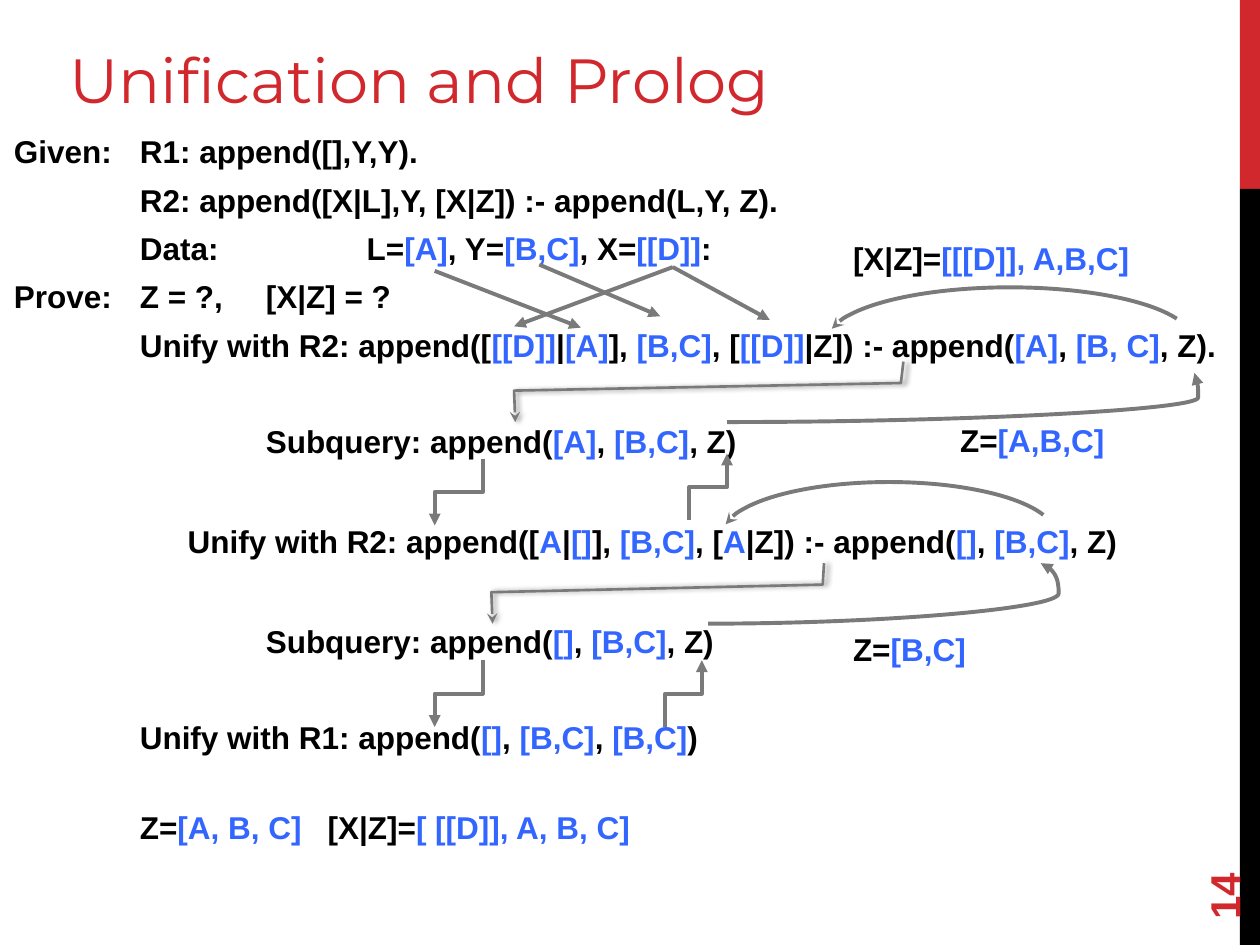
from lxml import etree
from pptx import Presentation
from pptx.dml.color import RGBColor
from pptx.enum.shapes import MSO_CONNECTOR, MSO_SHAPE
from pptx.enum.text import MSO_ANCHOR, MSO_AUTO_SIZE, PP_ALIGN
from pptx.oxml.ns import qn
from pptx.util import Inches, Pt

STRAIGHT, ELBOW, CURVE = MSO_CONNECTOR.STRAIGHT, MSO_CONNECTOR.ELBOW, MSO_CONNECTOR.CURVE
RECTANGLE, ARC = MSO_SHAPE.RECTANGLE, MSO_SHAPE.ARC
TOP, BOTTOM, MIDDLE = MSO_ANCHOR.TOP, MSO_ANCHOR.BOTTOM, MSO_ANCHOR.MIDDLE
NO_AUTOFIT, LEFT = MSO_AUTO_SIZE.NONE, PP_ALIGN.LEFT

RED, BLACK, BLUE, GREY = "D1282E", "000000", "3366FF", "7A7A7A"
rgb = RGBColor.from_string


def write_terms(paragraph, text):
    """Write bold 18 pt text; parts between asterisks are blue."""
    paragraph.font.name = "Arial"
    paragraph.font.size = Pt(18)
    paragraph.font.bold = True
    for i, part in enumerate(text.split("*")):
        if part:
            run = paragraph.add_run()
            run.text = part
            run.font.color.rgb = rgb(BLUE if i % 2 else BLACK)


def style_arrow(arrow, width, head):
    """Give a line its grey stroke and arrowhead, and return its effect list."""
    arrow.line.color.rgb = rgb(GREY)
    arrow.line.width = Pt(width)
    properties = arrow.element.spPr
    etree.SubElement(properties.find(qn("a:ln")), qn("a:tailEnd"), type=head)
    return etree.SubElement(properties, qn("a:effectLst"))


prs = Presentation()
prs.slide_width, prs.slide_height = Inches(10), Inches(7.5)
slide = prs.slides.add_slide(prs.slide_layouts[1])
shapes = slide.shapes

# Side bar
for top, height, color in [(0, 1.5, RED), (1.5, 6, BLACK)]:
    bar = shapes.add_shape(RECTANGLE, Inches(9.84), Inches(top), Inches(0.16), Inches(height))
    bar.shadow.inherit = False
    bar.fill.solid()
    bar.fill.fore_color.rgb = rgb(color)
    bar.line.fill.background()

# Title and derivation
title, derivation = shapes.title, slide.placeholders[1]
for holder, (left, top, width, height), anchor in [
    (title, (0.5, 0.18, 8.48, 0.79), BOTTOM),
    (derivation, (0.06, 1, 9.96, 5.87), TOP),
]:
    holder.left, holder.top = Inches(left), Inches(top)
    holder.width, holder.height = Inches(width), Inches(height)
    frame = holder.text_frame
    frame.auto_size = NO_AUTOFIT
    frame.vertical_anchor = anchor
    frame.margin_left = frame.margin_right = Inches(0.05)
    frame.margin_top = frame.margin_bottom = Inches(0.05)

title.text_frame.text = "Unification and Prolog"
heading = title.text_frame.paragraphs[0]
heading.alignment = LEFT
heading.font.name = "Montserrat"
heading.font.size = Pt(35.6)
heading.font.color.rgb = rgb(RED)

# Space before in points, start and hanging margin in inches, text
steps = [
    (0, 0, 1, "Given:\tR1: append([],Y,Y)."),
    (6, 1, 1, "R2: append([X|L],Y, [X|Z]) :- append(L,Y, Z)."),
    (6, 1, 2.8, "Data:\tL=*[A]*, Y=*[B,C]*, X=*[[D]]*:"),
    (6, 0, 1, "Prove:\tZ = ?,\t[X|Z] = ?"),
    (6, 1, 1, "Unify with R2: append([*[[D]]*|*[A]*], *[B,C]*, [*[[D]]*|Z])"
              " :- append(*[A]*, *[B, C]*, Z)."),
    (33.5, 2, 2, "Subquery: append(*[A]*, *[B,C]*, Z)"),
    (35.5, 1.38, 1.38, "Unify with R2: append([*A*|*[]*], *[B,C]*, [*A*|Z])"
                       " :- append(*[]*, *[B,C]*, Z)"),
    (35.5, 2, 2, "Subquery: append(*[]*, *[B,C]*, Z)"),
    (33.5, 1, 1, "Unify with R1: append(*[]*, *[B,C]*, *[B,C]*)"),
    (29.5, 1, 2.49, "Z=*[A, B, C]*\t[X|Z]=*[ [[D]], A, B, C]*"),
]
body = derivation.text_frame
for i, (space, start, margin, text) in enumerate(steps):
    step = body.add_paragraph() if i else body.paragraphs[0]
    step.alignment = LEFT
    step.line_spacing = 1.0
    step.space_before = Pt(space)
    layout = step._p.get_or_add_pPr()
    layout.set("marL", str(Inches(margin)))
    layout.set("indent", str(Inches(start - margin)))
    etree.SubElement(layout, qn("a:buNone"))
    write_terms(step, text)

# Results beside the derivation
for left, top, width, text in [
    (7.57, 3.29, 1.26, "Z=*[A,B,C]*"),
    (6.72, 4.95, 1.01, "Z=*[B,C]*"),
    (6.72, 1.85, 2.32, "[X|Z]=*[[[D]], A,B,C]*"),
]:
    result = shapes.add_textbox(Inches(left), Inches(top), Inches(width), Inches(0.4)).text_frame
    result.margin_left = result.margin_right = Inches(0.05)
    write_terms(result.paragraphs[0], text)

# Page number
page = shapes.add_textbox(Inches(9.47), Inches(6.87), Inches(0.48), Inches(0.48))
page.rotation = 270
page.text_frame.vertical_anchor = MIDDLE
page.text_frame.margin_left = page.text_frame.margin_right = Inches(0.05)
page.text_frame.text = "14"
number = page.text_frame.paragraphs[0]
number.font.name = "Arial"
number.font.size = Pt(24)
number.font.bold = True
number.font.color.rgb = rgb(RED)

# Data bound to the rule's arguments, and answers passed back up
for kind, x1, y1, x2, y2, bend in [
    (STRAIGHT, 3.45, 2.15, 4.61, 2.6, None),
    (STRAIGHT, 4.28, 2.1, 5.24, 2.51, None),
    (STRAIGHT, 5.34, 2.12, 6.11, 2.54, None),
    (STRAIGHT, 5.34, 2.12, 4.08, 2.59, None),
    (CURVE, 5.62, 4.95, 8.26, 4.47, 105400),
    (CURVE, 5.77, 3.35, 9.48, 2.96, 100800),
]:
    link = shapes.add_connector(kind, Inches(x1), Inches(y1), Inches(x2), Inches(y2))
    style_arrow(link, 2.25, "triangle")
    if bend:
        guides = link.element.spPr.find(qn("a:prstGeom")).find(qn("a:avLst"))
        etree.SubElement(guides, qn("a:gd"), name="adj1", fmla=f"val {bend}")

# Calls and returns that leave vertically: an elbow turned a quarter about its centre
for x1, y1, x2, y2 in [
    (3.83, 3.64, 3.45, 4.17),
    (3.83, 5.24, 3.45, 5.77),
    (5.28, 5.77, 5.57, 5.24),
    (5.47, 4.13, 5.77, 3.6),
]:
    center_x, center_y = (x1 + x2) / 2, (y1 + y2) / 2
    half_w, half_h = abs(y2 - y1) / 2, abs(x2 - x1) / 2
    call = shapes.add_connector(ELBOW, Inches(center_x - half_w), Inches(center_y - half_h),
                                Inches(center_x + half_w), Inches(center_y + half_h))
    quarter_turn = 90 if y2 > y1 else 270
    call.element.spPr.find(qn("a:xfrm")).set("rot", str(quarter_turn * 60000))
    style_arrow(call, 2.25, "triangle")

# Rule bodies turned into subqueries
for corners in [
    [(6.54, 4.47), (6.53, 4.64), (3.9, 4.7), (3.91, 4.95)],
    [(7.17, 2.87), (7.15, 3.04), (4.08, 3.1), (4.09, 3.35)],
]:
    first, *rest = [(Inches(x), Inches(y)) for x, y in corners]
    builder = shapes.build_freeform(*first)
    builder.add_line_segments(rest, close=False)
    subquery = builder.convert_to_shape()
    subquery.fill.background()
    effects = style_arrow(subquery, 1.5, "stealth")
    shadow = etree.SubElement(effects, qn("a:outerShdw"), blurRad=str(Pt(3)),
                              dist=str(Pt(1.8)), dir="0", rotWithShape="0")
    tint = etree.SubElement(shadow, qn("a:srgbClr"), val=BLACK)
    etree.SubElement(tint, qn("a:alpha"), val="40000")

# Values of Z put into the heads of the rules
for left, top, height in [(6.64, 2.92, 2.64), (7.6, 1.25, 2.89)]:
    binding = shapes.add_shape(ARC, Inches(left), Inches(top), Inches(0.83), Inches(height))
    binding.rotation = 90
    binding.element.spPr.find(qn("a:xfrm")).set("flipH", "1")
    binding.adjustments[0], binding.adjustments[1] = 166.29, 51.91
    binding.fill.background()
    style_arrow(binding, 2.25, "stealth")

prs.save("out.pptx")
